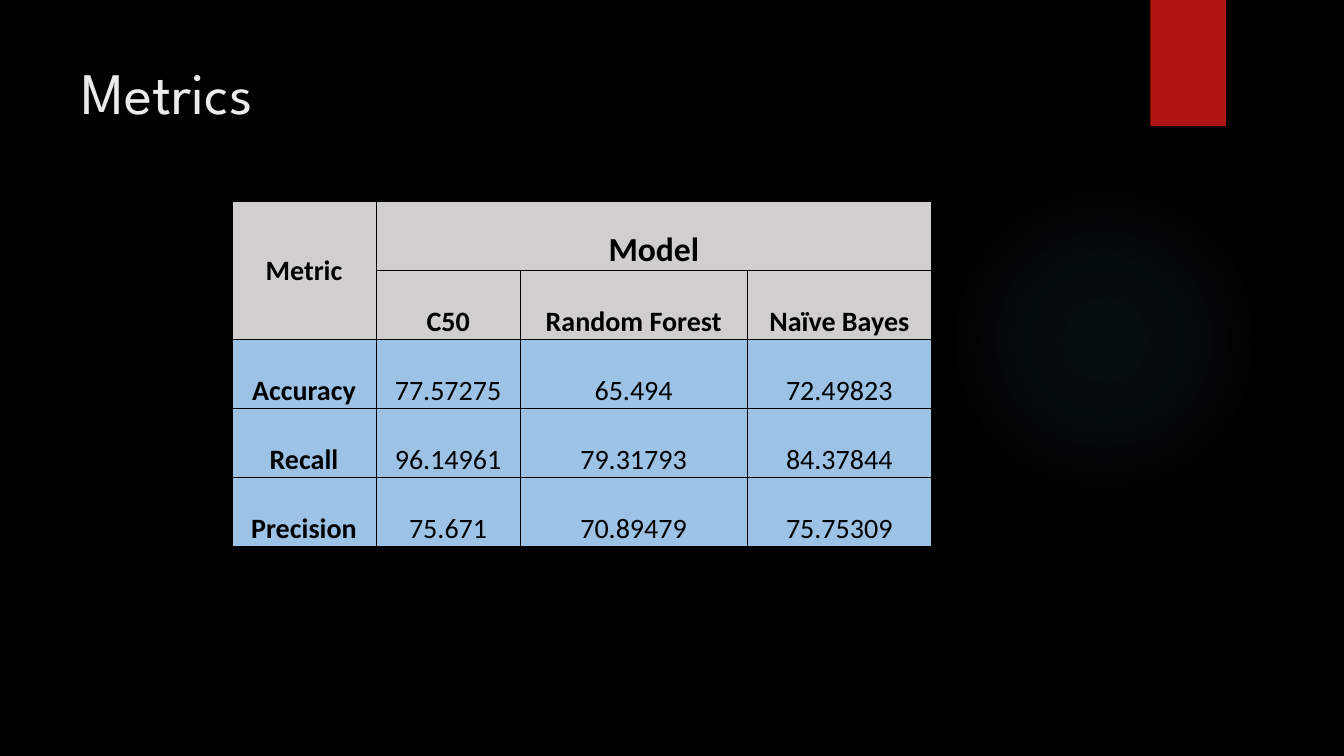
from lxml import etree
from pptx import Presentation
from pptx.dml.color import RGBColor
from pptx.enum import shapes, text
from pptx.oxml import parse_xml
from pptx.oxml.ns import nsdecls
from pptx.util import Inches, Pt

BLACK, GREY, BLUE = "000000", "D0CECE", "9CC3E6"
COLUMN_WIDTHS = (1.43, 1.43, 2.25, 1.83)
ROW_HEIGHT = 0.684
METRICS = [
    ("Metric", "Model", "", ""),
    ("", "C50", "Random Forest", "Naïve Bayes"),
    ("Accuracy", "77.57275", "65.494", "72.49823"),
    ("Recall", "96.14961", "79.31793", "84.37844"),
    ("Precision", "75.671", "70.89479", "75.75309"),
]


def color(value):
    return RGBColor.from_string(value)


def format_run(run, font, size, value, bold=False):
    run.font.name = font
    run.font.size = Pt(size)
    run.font.color.rgb = color(value)
    run.font.bold = bold


def add_glow(slide):
    """Add a faint circle that fades out from its centre."""
    glow = slide.shapes.add_shape(
        shapes.MSO_SHAPE.OVAL, Inches(9.41), Inches(1.83), Inches(3.08), Inches(3.08))
    glow.shadow.inherit = False
    glow.line.fill.background()
    stops = "".join(
        f'<a:gs pos="{position}000"><a:srgbClr val="50B9C1">'
        f'<a:alpha val="{alpha}000"/></a:srgbClr></a:gs>'
        for position, alpha in ((0, 7), (36, 6), (69, 0), (100, 0)))
    gradient = parse_xml(
        f'<a:gradFill {nsdecls("a")}><a:gsLst>{stops}</a:gsLst><a:path path="circle">'
        '<a:fillToRect l="50000" t="50000" r="50000" b="50000"/></a:path></a:gradFill>')
    glow.element.spPr.find("{*}prstGeom").addnext(gradient)


def add_ribbon(slide):
    ribbon = slide.shapes.add_shape(
        shapes.MSO_SHAPE.RECTANGLE, Inches(11.41), 0, Inches(0.75), Inches(1.25))
    ribbon.shadow.inherit = False
    ribbon.fill.solid()
    ribbon.fill.fore_color.rgb = color("B01513")
    ribbon.line.fill.background()
    effects = ribbon.element.spPr.find("{*}effectLst")
    effects.append(parse_xml(
        f'<a:outerShdw {nsdecls("a")} blurRad="{Pt(3)}" dist="{Pt(2)}" dir="5400000">'
        '<a:srgbClr val="000000"><a:alpha val="45000"/></a:srgbClr></a:outerShdw>'))


def add_title(slide, title):
    box = slide.shapes.add_textbox(Inches(0.71), Inches(0.5), Inches(10.29), Inches(1.53))
    box.text_frame.word_wrap = True
    box.text_frame.text = title
    format_run(box.text_frame.paragraphs[0].runs[0], "League Spartan", 42, "EBEBEB")


def set_borders(cell):
    properties = cell._tc.get_or_add_tcPr()
    for index, side in enumerate(("lnL", "lnR", "lnT", "lnB")):
        border = etree.fromstring(
            f'<a:{side} {nsdecls("a")} w="{Pt(0.5)}"><a:solidFill>'
            f'<a:srgbClr val="{BLACK}"/></a:solidFill></a:{side}>')
        properties.insert(index, border)


def fill_cell(cell, words, row, column):
    cell.fill.solid()
    cell.fill.fore_color.rgb = color(GREY if row < 2 else BLUE)
    cell.margin_left = cell.margin_right = cell.margin_top = Inches(0.01)
    cell.margin_bottom = 0
    cell.vertical_anchor = (
        text.MSO_ANCHOR.MIDDLE if words == "Metric" else text.MSO_ANCHOR.BOTTOM)
    set_borders(cell)
    cell.text_frame.text = words
    paragraph = cell.text_frame.paragraphs[0]
    paragraph.alignment = text.PP_ALIGN.CENTER
    for run in paragraph.runs:
        format_run(run, "Calibri", 24 if words == "Model" else 20, BLACK,
                   bold=row < 2 or column == 0)


def add_metrics_table(slide):
    table = slide.shapes.add_table(
        len(METRICS), len(COLUMN_WIDTHS), Inches(2.3), Inches(2),
        Inches(sum(COLUMN_WIDTHS)), Inches(ROW_HEIGHT * len(METRICS))).table
    for column, width in zip(table.columns, COLUMN_WIDTHS):
        column.width = Inches(width)
    for row in table.rows:
        row.height = Inches(ROW_HEIGHT)
    for row, values in enumerate(METRICS):
        for column, words in enumerate(values):
            fill_cell(table.cell(row, column), words, row, column)
    table.cell(0, 0).merge(table.cell(1, 0))
    table.cell(0, 1).merge(table.cell(0, 3))


def main():
    presentation = Presentation()
    presentation.slide_width = Inches(13.33)
    presentation.slide_height = Inches(7.5)
    slide = presentation.slides.add_slide(presentation.slide_layouts[6])
    slide.background.fill.solid()
    slide.background.fill.fore_color.rgb = color(BLACK)
    add_glow(slide)
    add_ribbon(slide)
    add_title(slide, "Metrics")
    add_metrics_table(slide)
    presentation.save("out.pptx")


if __name__ == "__main__":
    main()
